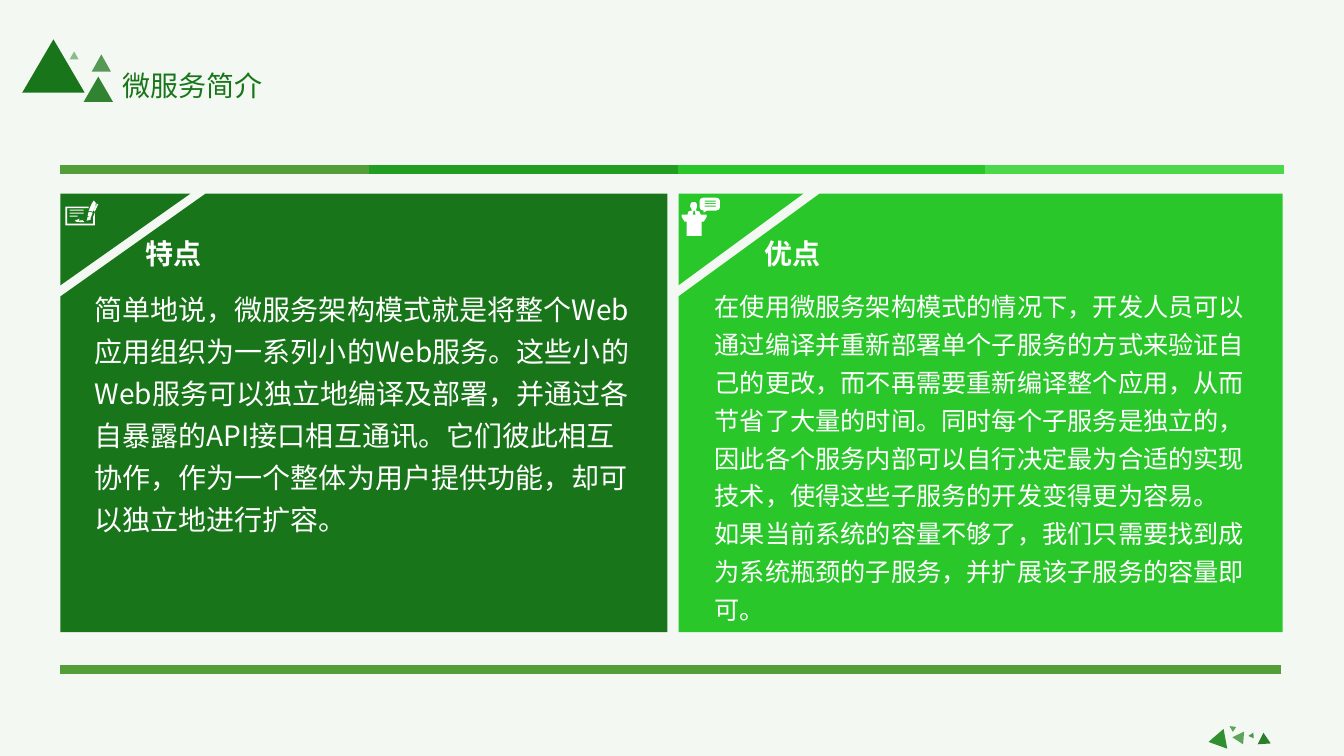
from lxml import etree
from pptx import Presentation
from pptx.dml.color import RGBColor
from pptx.enum.shapes import MSO_CONNECTOR, MSO_SHAPE
from pptx.enum.text import MSO_AUTO_SIZE, PP_ALIGN
from pptx.oxml.ns import qn
from pptx.util import Inches, Pt

STRAIGHT = MSO_CONNECTOR.STRAIGHT
TRIANGLE = MSO_SHAPE.ISOSCELES_TRIANGLE
FIT_SHAPE = MSO_AUTO_SIZE.SHAPE_TO_FIT_TEXT
LEFT, CENTER = PP_ALIGN.LEFT, PP_ALIGN.CENTER

PALE = RGBColor(0xF3, 0xF8, 0xF3)
WHITE = RGBColor(0xFF, 0xFF, 0xFF)
DARK = RGBColor(0x19, 0x75, 0x19)
OLIVE = RGBColor(0x54, 0x9E, 0x39)
MEDIUM = RGBColor(0x21, 0x9E, 0x21)
BRIGHT = RGBColor(0x2A, 0xC7, 0x2A)
LIGHT = RGBColor(0x4B, 0xD9, 0x4B)
SAGE = RGBColor(0x5E, 0xA4, 0x5A)
LEAF = RGBColor(0x30, 0x90, 0x30)
FOREST = RGBColor(0x2B, 0x7E, 0x2A)
MOSS = RGBColor(0x55, 0x95, 0x51)
FONT = "Noto Sans CJK SC"

# The slide is a grid of square cells, 75 rows high
prs = Presentation()
prs.slide_width, prs.slide_height = Inches(13.33), Inches(7.5)
CELL = prs.slide_height // 75
slide = prs.slides.add_slide(prs.slide_layouts[6])
slide.background.fill.solid()
slide.background.fill.fore_color.rgb = PALE
shapes = slide.shapes


def add_text(text, box, size=20, color=WHITE, bold=False, align=LEFT,
             spacing=1.25, wrap=False):
    frame = shapes.add_textbox(*[round(v * CELL) for v in box]).text_frame
    frame.word_wrap = wrap
    frame.auto_size = FIT_SHAPE
    frame.text = text
    for paragraph in frame.paragraphs:
        paragraph.alignment = align
        paragraph.line_spacing = spacing
        font = paragraph.runs[0].font
        font.size, font.bold, font.name = Pt(size), bold, FONT
        font.color.rgb = color
        etree.SubElement(paragraph.runs[0]._r.rPr, qn("a:ea"), typeface=FONT)


def add_outline(color, contours):
    """Draw closed contours, in cells, as one shape; inner ones are holes."""
    scaled = [[(x * CELL, y * CELL) for x, y in c] for c in contours]
    builder = shapes.build_freeform(*scaled[0][0])
    builder.add_line_segments(scaled[0][1:])
    for contour in scaled[1:]:
        builder.move_to(*contour[0])
        builder.add_line_segments(contour[1:])
    outline = builder.convert_to_shape()
    outline.shadow.inherit = False
    outline.fill.solid()
    outline.fill.fore_color.rgb = color
    outline.line.fill.background()


# Rules above and below the panels
for start, end, row, color in [
    (6, 36.7, 16.8, OLIVE), (36.6, 67.3, 16.8, MEDIUM),
    (67.2, 97.7, 16.8, BRIGHT), (97.7, 127.3, 16.8, LIGHT),
    (6, 127.1, 66.4, OLIVE),
]:
    y = round(row * CELL)
    rule = shapes.add_connector(STRAIGHT, round(start * CELL), y, round(end * CELL), y)
    rule.line.color.rgb = color
    rule.line.width = Pt(6.75)
    etree.SubElement(rule._element.spPr, qn("a:effectLst"))

# Triangles: page corner first, then the title; opacity in percent
for x, y, width, height, turn, color, opacity in [
    (122.4, 72.8, 1.3, 1.1, 153.9, SAGE, 100),
    (119.7, 72.6, 2, 1.7, 259.5, LEAF, 100),
    (124.7, 72.7, 1.3, 1.1, 356.2, FOREST, 100),
    (121.9, 71.9, 0.6, 0.6, 303.5, SAGE, 100),
    (123.9, 72.8, 0.6, 0.5, 145.8, MOSS, 100),
    (2.2, 3.9, 6.2, 5.3, 0, DARK, 100),
    (8.3, 7.6, 2.9, 2.5, 0, DARK, 89),
    (6.9, 5.1, 0.9, 0.8, 0, DARK, 47),
    (9.1, 5.4, 1.9, 1.7, 0, DARK, 72),
]:
    triangle = shapes.add_shape(
        TRIANGLE, *[round(v * CELL) for v in (x, y, width, height)])
    triangle.rotation = turn
    triangle.shadow.inherit = False
    triangle.fill.solid()
    triangle.fill.fore_color.rgb = color
    triangle.line.fill.background()
    if opacity < 100:
        tint = triangle._element.spPr.find(".//" + qn("a:srgbClr"))
        etree.SubElement(tint, qn("a:alpha"), val=str(opacity * 1000))

add_text("微服务简介", (11.1, 6.3, 16, 4.4), color=DARK, align=CENTER, spacing=1)

# Panels, each with a corner cut off by a diagonal gap
TOP, BOTTOM = 19.2, 62.7
FEATURES = ("简单地说，微服务架构模式就是将整个Web应用组织为一系列小的Web服务。"
            "这些小的Web服务可以独立地编译及部署，并通过各自暴露的API接口相互通讯。"
            "它们彼此相互协作，作为一个整体为用户提供功能，却可以独立地进行扩容。")
BENEFITS = ("在使用微服务架构模式的情况下，开发人员可以通过编译并重新部署单个子服务的"
            "方式来验证自己的更改，而不再需要重新编译整个应用，从而节省了大量的时间。"
            "同时每个子服务是独立的，因此各个服务内部可以自行决定最为合适的实现技术，"
            "使得这些子服务的开发变得更为容易。\n"
            "如果当前系统的容量不够了，我们只需要找到成为系统瓶颈的子服务，"
            "并扩展该子服务的容量即可。")
for left, right, corner, cut, color, title, title_x, body, body_box, size in [
    (6, 66.2, 18.9, 20.4, DARK, "特点", 13.4, FEATURES, (8.4, 27.7, 55.3, 26.3), 20),
    (67.3, 127.2, 79.7, 81.3, BRIGHT, "优点", 74.8, BENEFITS, (69.9, 27.7, 55.1, 35.1), 18),
]:
    add_outline(color, [
        [(cut, TOP), (right, TOP), (right, BOTTOM), (left, BOTTOM), (left, 29.4)],
        [(left, TOP), (corner, TOP), (left, 28.3)],
    ])
    add_text(title, (title_x, 22.1, 7.6, 4.8), bold=True, align=CENTER)
    add_text(body, body_box, size=size, wrap=True)

# Icon: written sheet with a pen
sheet_lines = [[(6.9, y), (end, y), (end, y + 0.1), (6.9, y + 0.1)]
               for y, end in [(20.8, 8.3), (21.1, 8.3), (21.4, 7.7)]]
add_outline(WHITE, sheet_lines + [
    [(6.5, 20.5), (8.8, 20.5), (8.8, 20.65), (6.65, 20.65), (6.65, 22.2),
     (9.25, 22.2), (9.25, 21.5), (9.4, 21.1), (9.4, 22.35), (6.5, 22.35)],
    [(8.8, 20.9), (9.2, 21), (9.5, 20.4), (9.5, 20.1), (9.3, 19.9), (9.1, 20.2)],
    [(9.5, 20.2), (9.75, 20.25), (9.4, 21), (9.3, 20.9), (9.6, 20.3)],
    [(8.8, 21), (9.2, 21.1), (9, 21.6), (8.7, 21.4)],
    [(8.7, 21.5), (9, 21.6), (9, 21.8), (8.6, 21.9)],
    [(7.4, 21.9), (7.9, 21.7), (7.8, 21.9), (8.2, 21.85), (8.4, 22.05),
     (8.1, 22.05), (7.6, 22)],
])

# Icon: speaker at a lectern with a speech bubble
speech_lines = [[(69.9, y), (71, y), (71, y + 0.1), (69.9, y + 0.1)]
                for y in (19.9, 20.15, 20.4)]
add_outline(WHITE, speech_lines + [
    [(69.8, 19.6), (71, 19.6), (71.3, 19.7), (71.4, 19.9), (71.4, 20.6),
     (71.3, 20.8), (71, 20.9), (70.1, 20.9), (69.8, 21.1), (69.8, 20.9),
     (69.5, 20.8), (69.4, 20.6), (69.4, 19.9), (69.5, 19.7)],
    [(67.6, 21.3), (68.2, 21.3), (68.25, 21), (68.6, 20.9), (68.6, 20.75),
     (68.45, 20.5), (68.5, 20.2), (68.65, 20.05), (68.95, 20.05),
     (69.1, 20.2), (69.15, 20.5), (69.05, 20.75), (69.05, 20.9),
     (69.4, 21), (69.5, 21.3), (70.1, 21.3), (70.1, 21.5), (69.8, 22),
     (69.6, 22), (69.6, 23.4), (68.1, 23.4), (68.1, 22), (67.9, 22), (67.6, 21.5)],
    [(68.7, 21.3), (68.8, 20.9), (68.9, 20.9), (69, 21.3)],
])

prs.save("out.pptx")
